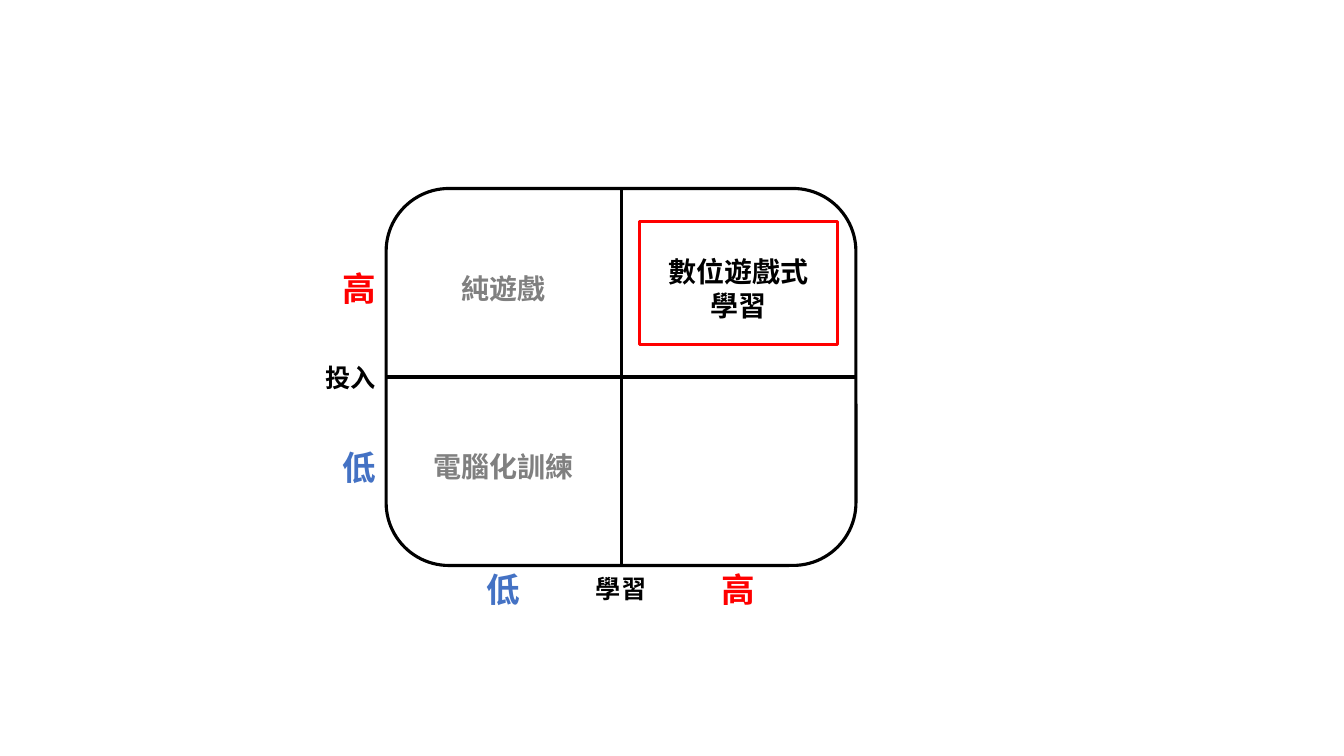
from pptx import Presentation
from pptx.util import Inches, Pt
from pptx.dml.color import RGBColor
from pptx.enum.shapes import MSO_SHAPE, MSO_CONNECTOR
from pptx.enum.text import MSO_ANCHOR, PP_ALIGN
from pptx.oxml.ns import qn
from lxml.etree import SubElement

COLORS = {"ink": "000000", "high": "FF0000", "low": "4472C4", "muted": "808080"}


class Sketch:
    font = "Noto Sans CJK SC"
    weight = Pt(2.25)

    def __init__(self, slide):
        self.slide = slide

    def color(self, name):
        return RGBColor.from_string(COLORS[name])

    def stroke(self, item, color):
        item.line.color.rgb = self.color(color)
        item.line.width = self.weight

    def frame(self, kind, left, top, width, height, color):
        shape = self.slide.shapes.add_shape(
            kind, Inches(left), Inches(top), Inches(width), Inches(height))
        shape.shadow.inherit = False
        shape.fill.background()
        self.stroke(shape, color)

    def line(self, x1, y1, x2, y2):
        line = self.slide.shapes.add_connector(
            MSO_CONNECTOR.STRAIGHT, Inches(x1), Inches(y1), Inches(x2), Inches(y2))
        SubElement(line._element.spPr, qn("a:effectLst"))
        self.stroke(line, "ink")

    def label(self, text, x, y, size, color, flush=False):
        rows = text.split("\n")
        width = max(map(len, rows)) * size / 72 + 0.2
        height = len(rows) * size / 60 + 0.1
        left = x - width if flush else x - width / 2
        box = self.slide.shapes.add_textbox(
            Inches(left), Inches(y - height / 2), Inches(width), Inches(height))
        frame = box.text_frame
        frame.word_wrap = False
        frame.vertical_anchor = MSO_ANCHOR.MIDDLE
        frame.text = text
        for para in frame.paragraphs:
            para.alignment = PP_ALIGN.CENTER
            font = para.font
            font.name = self.font
            font.size = Pt(size)
            font.bold = True
            font.color.rgb = self.color(color)
            props = para._p.pPr.find(qn("a:defRPr"))
            SubElement(props, qn("a:ea")).set("typeface", self.font)


deck = Presentation()
deck.slide_width, deck.slide_height = Inches(13.33), Inches(7.5)
sketch = Sketch(deck.slides.add_slide(deck.slide_layouts[6]))

left, top, width, height = 3.83, 1.87, 4.66, 3.74
mid_x, mid_y = left + width / 2, top + height / 2
low_x, high_x = mid_x - width / 4, mid_x + width / 4
high_y, low_y = 2.86, 4.63
axis_y = 5.84

sketch.frame(MSO_SHAPE.ROUNDED_RECTANGLE, left, top, width, height, "ink")
sketch.line(left, mid_y, left + width, mid_y)
sketch.line(mid_x, top, mid_x, top + height)

sketch.label("投入", left, mid_y, 18, "ink", flush=True)
sketch.label("學習", mid_x, axis_y, 18, "ink")
for text, color, x, y in (("高", "high", high_x, high_y), ("低", "low", low_x, low_y)):
    sketch.label(text, left, y, 24, color, flush=True)
    sketch.label(text, x, axis_y, 24, color)

sketch.label("純遊戲", low_x, high_y, 20, "muted")
sketch.label("電腦化訓練", low_x, low_y, 20, "muted")
sketch.label("數位遊戲式\n學習", high_x, high_y, 20, "ink")
sketch.frame(MSO_SHAPE.RECTANGLE, 6.34, 2.2, 1.97, 1.22, "high")

deck.save("out.pptx")
